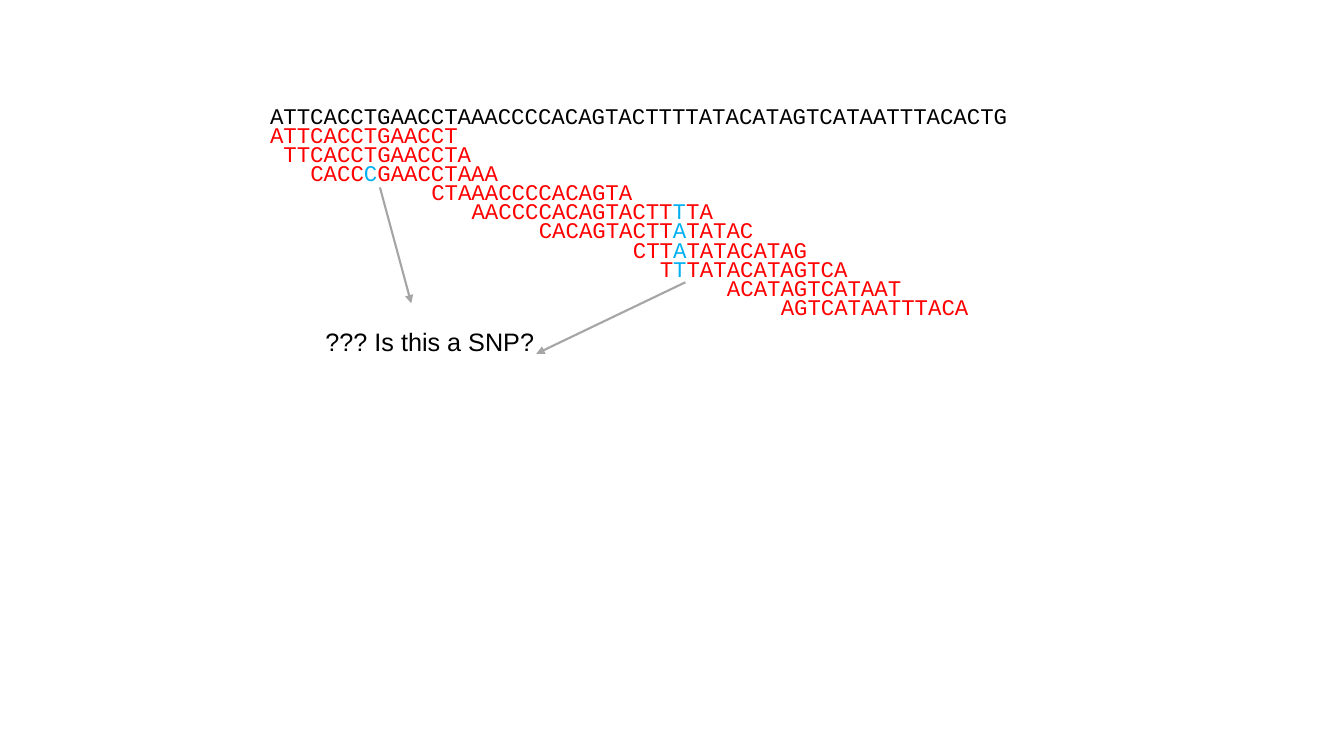
import pptx
import pptx.util
import pptx.dml.color
import pptx.enum.shapes
import pptx.enum.text
import pptx.oxml

Pt = pptx.util.Pt

STEP = 9.6    # width of one base at 16 pt
ROW = 13.68   # distance between reads
PAD = 7.2     # side inset of a text box
BASE = {"name": "Courier New", "size": Pt(16)}
NOTE = {"name": "Arial", "size": Pt(18)}

GENOME = "ATTCACCTGAACCTAAACCCCACAGTACTTTTATACATAGTCATAATTTACACTG"
# Start column, bases, column of the variant
READS = [
    (0, "ATTCACCTGAACCT", None),
    (1, "TTCACCTGAACCTA", None),
    (3, "CACCCGAACCTAAA", 7),
    (12, "CTAAACCCCACAGTA", None),
    (15, "AACCCCACAGTACTTTTA", 30),
    (20, "CACAGTACTTATATAC", 30),
    (27, "CTTATATACATAG", 30),
    (29, "TTTATACATAGTCA", 30),
    (34, "ACATAGTCATAAT", None),
    (38, "AGTCATAATTTACA", None),
]


def tint(code):
    return pptx.dml.color.RGBColor.from_string(code)


def label(shapes, box, parts, style, wrap):
    """Add one line of text made of (text, colour) parts."""
    frame = shapes.add_textbox(*map(Pt, box)).text_frame
    form = {"word_wrap": wrap,
            "auto_size": pptx.enum.text.MSO_AUTO_SIZE.SHAPE_TO_FIT_TEXT}
    for key, value in form.items():
        setattr(frame, key, value)
    for text, code in parts:
        run = frame.paragraphs[0].add_run()
        run.text = text
        for key, value in style.items():
            setattr(run.font, key, value)
        run.font.color.rgb = tint(code)


def split(start, bases, spot):
    """Colour a read red, with its variant base in blue."""
    if spot is None:
        return [(bases, "FF0000")]
    cut = spot - start
    return [(bases[:cut], "FF0000"), (bases[cut], "00B0F0"),
            (bases[cut + 1:], "FF0000")]


def pileup(slide, left, top):
    """Genome on top, each read below it at its own column."""
    shapes = slide.shapes.add_group_shape().shapes
    lines = [(0, GENOME, [(GENOME, "000000")])]
    lines += [(start, bases, split(start, bases, spot))
              for start, bases, spot in READS]
    for row, (start, bases, parts) in enumerate(lines):
        box = (left + start * STEP, top + row * ROW,
               len(bases) * STEP + 2 * PAD, 26.6)
        label(shapes, box, parts, BASE, False)


def arrow(slide, tail, tip):
    line = slide.shapes.add_connector(
        pptx.enum.shapes.MSO_CONNECTOR.STRAIGHT, *map(Pt, tail + tip))
    line.line.color.rgb = tint("A5A5A5")
    line.line.width = Pt(1.5)
    pptx.oxml.ns.qn("a:ln")
    edge = line.line._get_or_add_ln()
    end = edge.makeelement(pptx.oxml.ns.qn("a:tailEnd"), {"type": "triangle"})
    edge.append(end)
    props = line._element.spPr
    props.append(props.makeelement(pptx.oxml.ns.qn("a:effectLst"), {}))


def query(slide, left, top):
    """Question, with an arrow from each variant column."""
    label(slide.shapes, (left, top, 280.8, 28.8),
          [("??? Is this a SNP?", "000000")], NOTE, True)
    arrow(slide, (left + 46, top - 95.8), (left + 68.4, top - 13))
    arrow(slide, (left + 264.2, top - 28.1), (left + 157.7, top + 23))


def main():
    deck = pptx.Presentation()
    deck.slide_width, deck.slide_height = Pt(960), Pt(540)
    slide = deck.slides.add_slide(deck.slide_layouts[6])
    pileup(slide, 185.8, 69.1)
    query(slide, 225.4, 229.7)
    deck.save("out.pptx")


if __name__ == "__main__":
    main()
